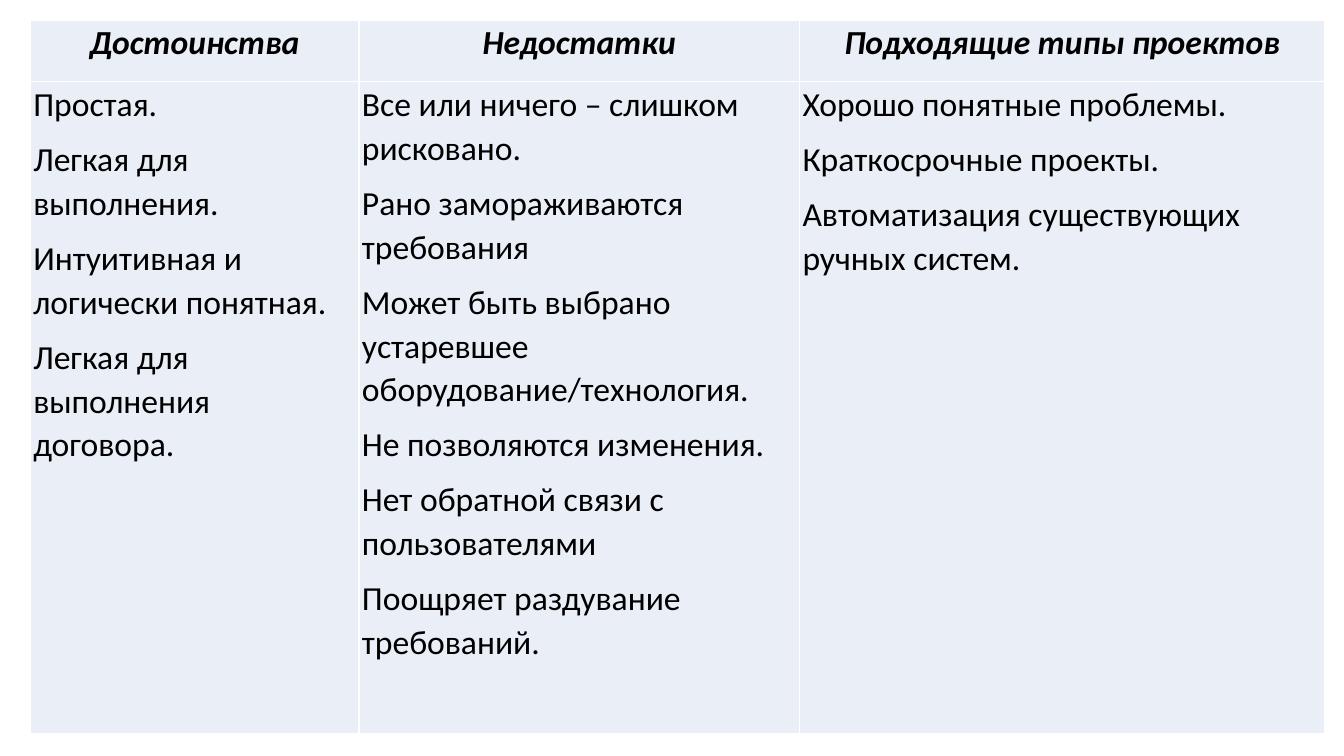
"""Build a slide with a table of model strengths, weaknesses and suitable projects."""
from lxml import etree
from pptx import Presentation
from pptx.dml.color import RGBColor as RGB
from pptx.enum.text import PP_ALIGN as ALIGN
from pptx.oxml.ns import qn
from pptx.util import Inches, Pt

COLORS = {"fill": "EAEFF7", "border": "FFFFFF", "text": "000000"}
COLUMNS = [
    ("Достоинства", 3.26, [
        "Простая.",
        "Легкая для выполнения.",
        "Интуитивная и логически понятная.",
        "Легкая для выполнения договора.",
    ]),
    ("Недостатки", 4.37, [
        "Все или ничего – слишком рисковано.",
        "Рано замораживаются требования",
        "Может быть выбрано устаревшее оборудование/технология.",
        "Не позволяются изменения.",
        "Нет обратной связи с пользователями",
        "Поощряет раздувание требований.",
    ]),
    ("Подходящие типы проектов", 5.21, [
        "Хорошо понятные проблемы.",
        "Краткосрочные проекты.",
        "Автоматизация существующих ручных систем.",
    ]),
]
ROW_HEIGHTS = [0.61, 6.47]


def add_borders(cell):
    tc_pr = cell._tc.get_or_add_tcPr()
    for i, side in enumerate(("lnL", "lnR", "lnT", "lnB")):
        ln = etree.Element(qn(f"a:{side}"), w=str(Pt(1)))
        fill = etree.SubElement(ln, qn("a:solidFill"))
        etree.SubElement(fill, qn("a:srgbClr"), val=COLORS["border"])
        tc_pr.insert(i, ln)


def fill_cell(cell, lines, header):
    cell.margin_left = cell.margin_right = Inches(0.03)
    cell.margin_top = cell.margin_bottom = 0
    cell.fill.solid()
    cell.fill.fore_color.rgb = RGB.from_string(COLORS["fill"])
    add_borders(cell)
    tf = cell.text_frame
    tf.text = "\n".join(lines)
    for p in tf.paragraphs:
        p.alignment = ALIGN.CENTER if header else ALIGN.LEFT
        p.line_spacing = 1.07
        p.space_after = Pt(8)
        for r in p.runs:
            r.font.name = "Calibri"
            r.font.size = Pt(24)
            r.font.bold = r.font.italic = header
            r.font.color.rgb = RGB.from_string(COLORS["text"])


prs = Presentation()
prs.slide_width, prs.slide_height = Inches(13.33), Inches(7.5)
s = prs.slides.add_slide(prs.slide_layouts[6])

table = s.shapes.add_table(
    len(ROW_HEIGHTS), len(COLUMNS), Inches(0.3), Inches(0.2),
    Inches(12.84), Inches(sum(ROW_HEIGHTS))).table
for row, height in zip(table.rows, ROW_HEIGHTS):
    row.height = Inches(height)
for c, (heading, width, points) in enumerate(COLUMNS):
    table.columns[c].width = Inches(width)
    fill_cell(table.cell(0, c), [heading], True)
    fill_cell(table.cell(1, c), points, False)

prs.save("out.pptx")
